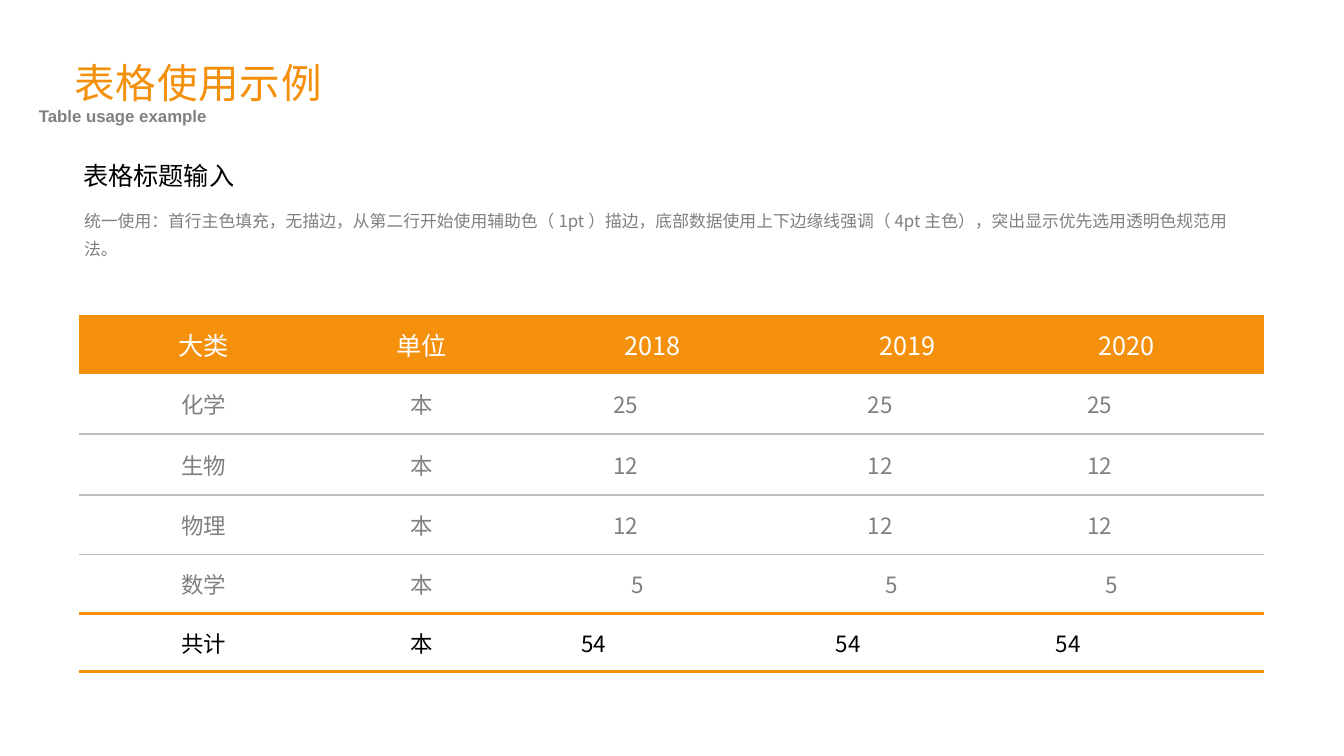
from lxml import etree
from pptx import Presentation
from pptx.dml.color import RGBColor
from pptx.enum.shapes import MSO_CONNECTOR
from pptx.enum.text import MSO_ANCHOR, PP_ALIGN
from pptx.oxml.ns import qn
from pptx.util import Inches, Pt

LEFT, CENTER, RIGHT = PP_ALIGN.LEFT, PP_ALIGN.CENTER, PP_ALIGN.RIGHT
MIDDLE = MSO_ANCHOR.MIDDLE
STRAIGHT = MSO_CONNECTOR.STRAIGHT

THEME = {
    "main": "F4900B", "gray": "808080", "rule": "BFBFBF",
    "black": "000000", "white": "FFFFFF",
    "cjk": "Noto Sans CJK SC", "latin": "Arial",
    "title": 58, "heading": 36, "cell": 32, "note": 24,
    "rule_width": 2, "total_width": 4, "inset": 0.06,
}

TEXTS = [
    dict(text="表格使用示例", box=(1.36, 0.95, 5.09, 1.18), size="title",
         color="main", align=RIGHT, spacing=1.2, tracking=120),
    dict(text="Table usage example", box=(0.71, 2.04, 5.08, 0.52), size="note",
         color="gray", font="latin", bold=True, wrap=True),
    dict(text="表格标题输入", box=(1.58, 3.12, 3.14, 0.72), size="heading",
         color="black", align=CENTER),
    dict(text="统一使用：首行主色填充，无描边，从第二行开始使用辅助色（1pt）描边，"
              "底部数据使用上下边缘线强调（4pt主色），突出显示优先选用透明色规范用法。",
         box=(1.61, 4.24, 22.95, 0.68), size="note", color="gray",
         spacing=1.4, wrap=True),
]

ROWS = [
    ("大类", "单位", "2018", "2019", "2020"),
    ("化学", "本", "25", "25", "25"),
    ("生物", "本", "12", "12", "12"),
    ("物理", "本", "12", "12", "12"),
    ("数学", "本", "5", "5", "5"),
    ("共计", "本", "54", "54", "54"),
]
COLUMN_EDGES = [1.56, 6.54, 10.2, 15.78, 20.3, 25.08]
COLUMN_CENTERS = [4.04, 8.37, 12.95, 18, 22.36]
ROW_EDGES = [6.25, 7.43, 8.61, 9.82, 11, 12.18, 13.33]
NUMBER_OFFSETS = [0, 0.78, 0.78, 0.78, 0.42, 1.41]
RULE = ("rule", "rule_width")
TOTAL = ("main", "total_width")
EDGE_LINES = [None, None, RULE, RULE, RULE, TOTAL, TOTAL]
BORDERS = ("a:lnL", "a:lnR", "a:lnT", "a:lnB")


def rgb(name):
    return RGBColor.from_string(THEME[name])


def style(p, size, color, align=LEFT, font="cjk", bold=False, spacing=None, tracking=None):
    p.alignment = align
    if spacing:
        p.line_spacing = spacing
    for r in p.runs:
        r.font.size = Pt(THEME[size])
        r.font.bold = bold
        r.font.color.rgb = rgb(color)
        r.font.name = THEME[font]
        rpr = r._r.get_or_add_rPr()
        etree.SubElement(rpr, qn("a:ea"), typeface=THEME[font])
        if tracking:
            rpr.set("spc", str(tracking))


def add_text(slide, text, box, wrap=False, **look):
    tf = slide.shapes.add_textbox(*map(Inches, box)).text_frame
    tf.margin_left = tf.margin_right = Inches(THEME["inset"])
    tf.margin_top = tf.margin_bottom = Inches(THEME["inset"])
    tf.vertical_anchor = MIDDLE
    tf.word_wrap = wrap
    tf.text = text
    style(tf.paragraphs[0], **look)


def clear_borders(cell):
    tcpr = cell._tc.get_or_add_tcPr()
    for i, tag in enumerate(BORDERS):
        ln = etree.Element(qn(tag))
        etree.SubElement(ln, qn("a:noFill"))
        tcpr.insert(i, ln)


def fill_cell(cell, row, col):
    left, right = COLUMN_EDGES[col:col + 2]
    center = COLUMN_CENTERS[col]
    header, total = row == 0, row == len(ROWS) - 1
    number = col >= 2 and not header
    half = min(center - left, right - center)
    start = center - (NUMBER_OFFSETS[row] if number else half)
    cell.margin_left = Inches(start - left)
    cell.margin_right = Inches(0 if number else right - center - half)
    cell.margin_top = cell.margin_bottom = Inches(THEME["inset"])
    cell.vertical_anchor = MIDDLE
    cell.text = ROWS[row][col]
    style(cell.text_frame.paragraphs[0],
          size="heading" if header else "cell",
          color="white" if header else "black" if total else "gray",
          align=LEFT if number else CENTER)
    if header:
        cell.fill.solid()
        cell.fill.fore_color.rgb = rgb("main")
    else:
        cell.fill.background()
    clear_borders(cell)


def add_summary_table(slide):
    x, y = COLUMN_EDGES[0], ROW_EDGES[0]
    size = COLUMN_EDGES[-1] - x, ROW_EDGES[-1] - y
    table = slide.shapes.add_table(len(ROWS), len(ROWS[0]), *map(Inches, (x, y, *size))).table
    table.first_row = table.horz_banding = False
    for column, a, b in zip(table.columns, COLUMN_EDGES, COLUMN_EDGES[1:]):
        column.width = Inches(b - a)
    for row, a, b in zip(table.rows, ROW_EDGES, ROW_EDGES[1:]):
        row.height = Inches(b - a)
    for row in range(len(ROWS)):
        for col in range(len(ROWS[row])):
            fill_cell(table.cell(row, col), row, col)


def add_rules(slide):
    for y, line in zip(ROW_EDGES, EDGE_LINES):
        if line:
            color, width = line
            ends = COLUMN_EDGES[0], y, COLUMN_EDGES[-1], y
            sp = slide.shapes.add_connector(STRAIGHT, *map(Inches, ends))
            sp.line.color.rgb = rgb(color)
            sp.line.width = Pt(THEME[width])
            etree.SubElement(sp._element.spPr, qn("a:effectLst"))


def main():
    prs = Presentation()
    prs.slide_width, prs.slide_height = Inches(26.67), Inches(15)
    s = prs.slides.add_slide(prs.slide_layouts[6])
    for item in TEXTS:
        add_text(s, **item)
    add_summary_table(s)
    add_rules(s)
    prs.save("out.pptx")


if __name__ == "__main__":
    main()
